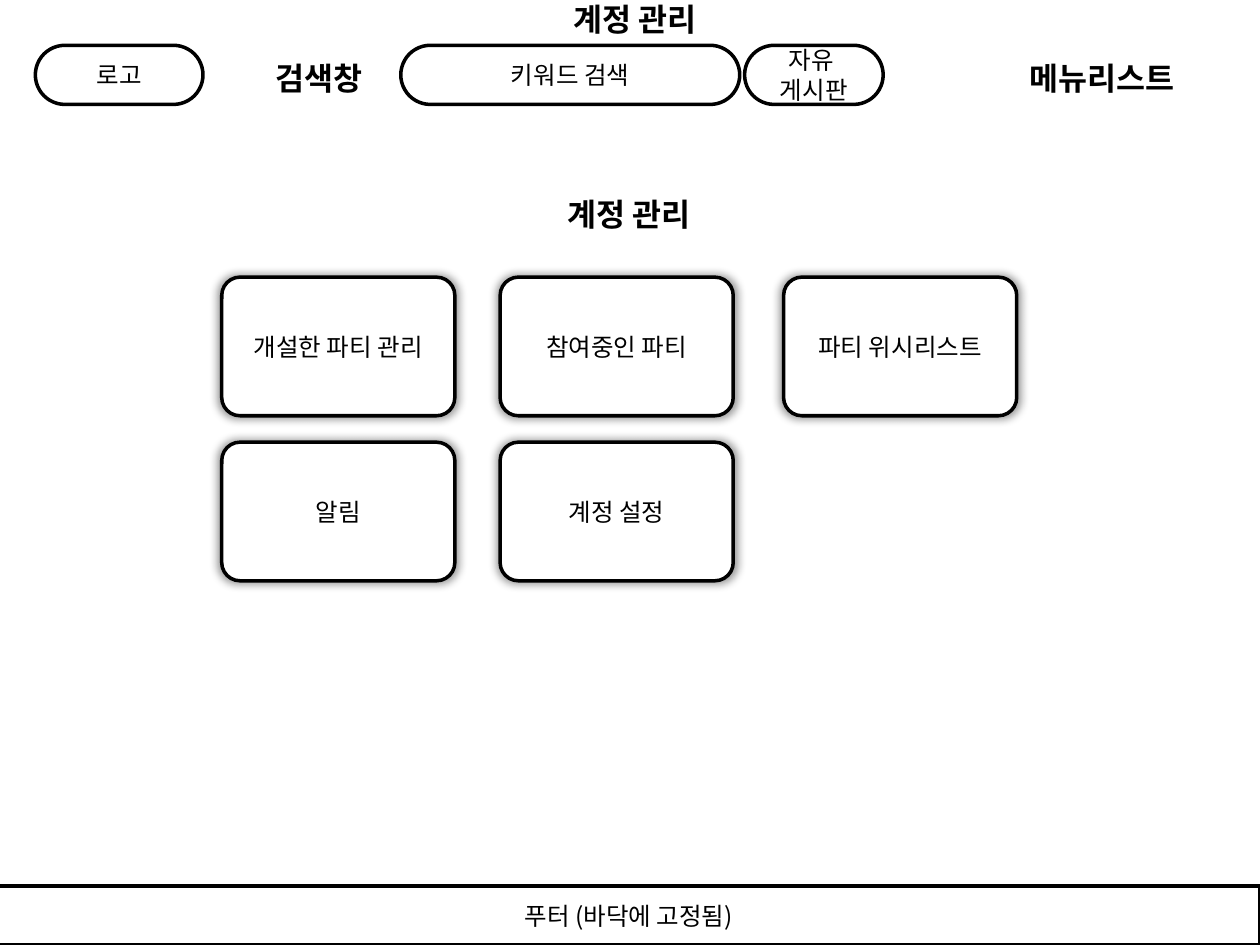
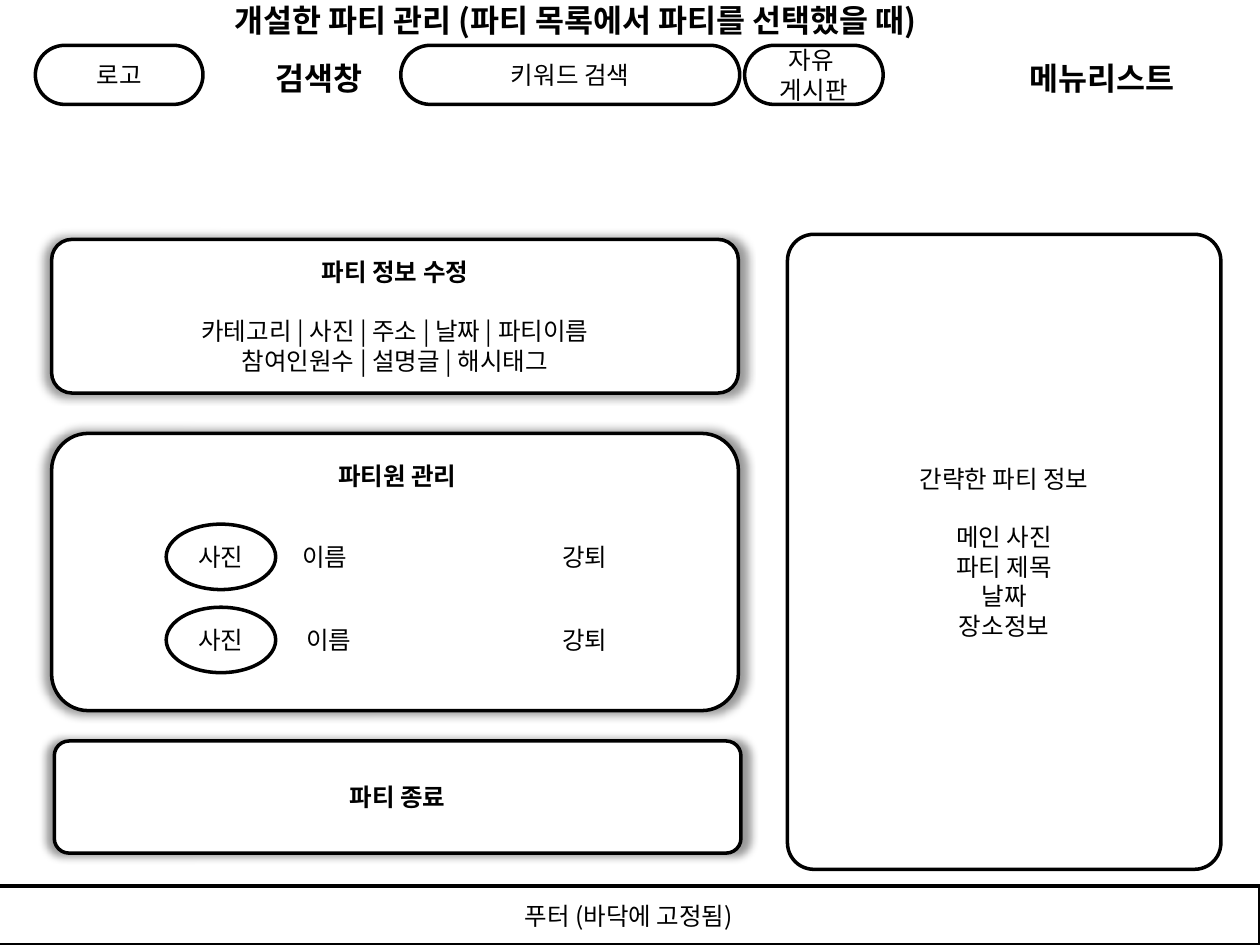
from lxml import etree
from pptx import Presentation
from pptx.dml.color import RGBColor
from pptx.enum.shapes import MSO_SHAPE
from pptx.enum.text import MSO_ANCHOR, MSO_AUTO_SIZE, PP_ALIGN
from pptx.oxml.ns import qn
from pptx.util import Pt

ROUNDED, OVAL = MSO_SHAPE.ROUNDED_RECTANGLE, MSO_SHAPE.OVAL
LEFT, CENTER, RIGHT = PP_ALIGN.LEFT, PP_ALIGN.CENTER, PP_ALIGN.RIGHT
TOP, MIDDLE = MSO_ANCHOR.TOP, MSO_ANCHOR.MIDDLE
FIT_SHAPE = MSO_AUTO_SIZE.SHAPE_TO_FIT_TEXT

FONT = "Noto Sans CJK KR"
COLORS = {"ink": "000000", "paper": "FFFFFF"}
BODY = {"name": FONT, "size": Pt(14), "bold": False}
BODY_BOLD = {**BODY, "bold": True}
HEADING = {"name": FONT, "size": Pt(18), "bold": True}
LABEL_FRAME = {"word_wrap": True, "vertical_anchor": TOP, "auto_size": FIT_SHAPE}
BOX_FRAME = {"word_wrap": True, "vertical_anchor": MIDDLE}
GLOW = {"blurRad": str(Pt(5)), "sx": "102000", "sy": "102000", "algn": "ctr", "rotWithShape": "0"}
CARD_CORNER = 0.132
LABEL_WIDTH = 156.2


def set_all(target, values):
    """Set every attribute named in values on the target."""
    for name, value in values.items():
        setattr(target, name, value)


class Wireframe:
    """Holds the wireframe style and draws on the current slide."""

    def __init__(self):
        self.deck = Presentation()
        set_all(self.deck, {"slide_width": Pt(720), "slide_height": Pt(540)})
        self.slide = None

    def color(self, name):
        """Return a palette colour."""
        return RGBColor.from_string(COLORS[name])

    def add_lines(self, frame, lines, style, align, first_style=None, gap_before=None):
        """Add lines as paragraphs, with an optional gap above the second one."""
        for index, line in enumerate(lines):
            paragraph = frame.paragraphs[0] if index == 0 else frame.add_paragraph()
            paragraph.alignment = align
            if index == 1 and gap_before:
                paragraph.space_before = Pt(gap_before)
            run = paragraph.add_run()
            run.text = line
            set_all(run.font, first_style if first_style and index == 0 else style)
            run.font.color.rgb = self.color("ink")
            etree.SubElement(run._r.get_or_add_rPr(), qn("a:ea"), typeface=FONT)

    def page(self, title, left, top, width):
        """Start a slide with its title, header and footer."""
        self.slide = self.deck.slides.add_slide(self.deck.slide_layouts[5])
        heading = self.slide.shapes.title
        set_all(heading, {"left": Pt(left), "top": Pt(top), "width": Pt(width), "height": Pt(28.8)})
        set_all(heading.text_frame, LABEL_FRAME)
        self.add_lines(heading.text_frame, [title], HEADING, LEFT)
        for left, width, lines in (
            (20.2, 95.8, ["로고"]),
            (229, 193.7, ["키워드 검색"]),
            (425.5, 79.2, ["자유 ", "게시판"]),
        ):
            self.box(left, 25.9, width, 33.8, lines, corner=0.5)
        for left, text in ((150.5, "검색창"), (581, "메뉴리스트")):
            self.label(left, 30.2, text, HEADING)
        self.box(-1.4, 506.2, 721.4, 33.8, ["푸터 (바닥에 고정됨)"], corner=0)

    def label(self, left, top, text, style=BODY, align=LEFT):
        """Add a line of free text."""
        height = style["size"].pt * 1.2 + 7.2
        area = self.slide.shapes.add_textbox(Pt(left), Pt(top), Pt(LABEL_WIDTH), Pt(height))
        set_all(area.text_frame, LABEL_FRAME)
        self.add_lines(area.text_frame, [text], style, align)

    def box(self, left, top, width, height, lines=(), style=BODY, corner=None, kind=ROUNDED, **text):
        """Add an outlined shape with centred lines."""
        outline = self.slide.shapes.add_shape(kind, Pt(left), Pt(top), Pt(width), Pt(height))
        if corner is not None:
            outline.adjustments[0] = corner
        outline.shadow.inherit = False
        outline.fill.solid()
        outline.fill.fore_color.rgb = self.color("paper")
        outline.line.color.rgb = self.color("ink")
        outline.line.width = Pt(2)
        set_all(outline.text_frame, BOX_FRAME)
        self.add_lines(outline.text_frame, lines, style, CENTER, **text)
        return outline

    def card(self, *place, **content):
        """Add a rounded box with a soft glow."""
        outline = self.box(*place, corner=CARD_CORNER, **content)
        effects = outline._element.spPr.find(qn("a:effectLst"))
        shadow = etree.SubElement(effects, qn("a:outerShdw"), GLOW)
        tint = etree.SubElement(shadow, qn("a:srgbClr"), val=COLORS["ink"])
        etree.SubElement(tint, qn("a:alpha"), val="40000")


def account_page(wire):
    """Draw the account management menu."""
    wire.page("계정 관리", 320.4, -3.6, LABEL_WIDTH)
    wire.label(281.5, 108, "계정 관리", HEADING, CENTER)
    columns = (126.7, 285.8, 447.8)
    menu = (
        (158.4, ("개설한 파티 관리", "참여중인 파티", "파티 위시리스트")),
        (252.7, ("알림", "계정 설정")),
    )
    for top, entries in menu:
        for left, entry in zip(columns, entries):
            wire.card(left, top, 133.2, 79.2, lines=[entry])


def party_page(wire):
    """Draw the management page of one party."""
    wire.page("개설한 파티 관리 (파티 목록에서 파티를 선택했을 때)", 126.7, -2.9, 475.9)
    summary = ["간략한 파티 정보", "메인 사진", "파티 제목", "날짜", "장소정보"]
    wire.box(450, 133.9, 247.7, 362.9, summary, corner=0.061, gap_before=16.8)
    details = ["파티 정보 수정", "카테고리 | 사진 | 주소 | 날짜 | 파티이름", "참여인원수 | 설명글 | 해시태그"]
    wire.card(29.5, 136.8, 392.4, 87.8, lines=details, first_style=BODY_BOLD, gap_before=16.8)
    wire.card(29.5, 247.7, 392.4, 158.4)
    wire.card(31, 423.4, 392.4, 64.1, lines=["파티 종료"], style=BODY_BOLD)
    wire.label(149, 259.9, "파티원 관리", BODY_BOLD, CENTER)
    for top, name_left in ((299.5, 165.6), (347, 167.8)):
        wire.box(95, top, 62.6, 37.4, ["사진"], kind=OVAL)
        wire.label(name_left, top + 6.5, "이름")
        wire.label(198, top + 6.5, "강퇴", align=RIGHT)


def main():
    """Build and save the wireframe deck."""
    wire = Wireframe()
    account_page(wire)
    party_page(wire)
    wire.deck.save("out.pptx")


if __name__ == "__main__":
    main()
